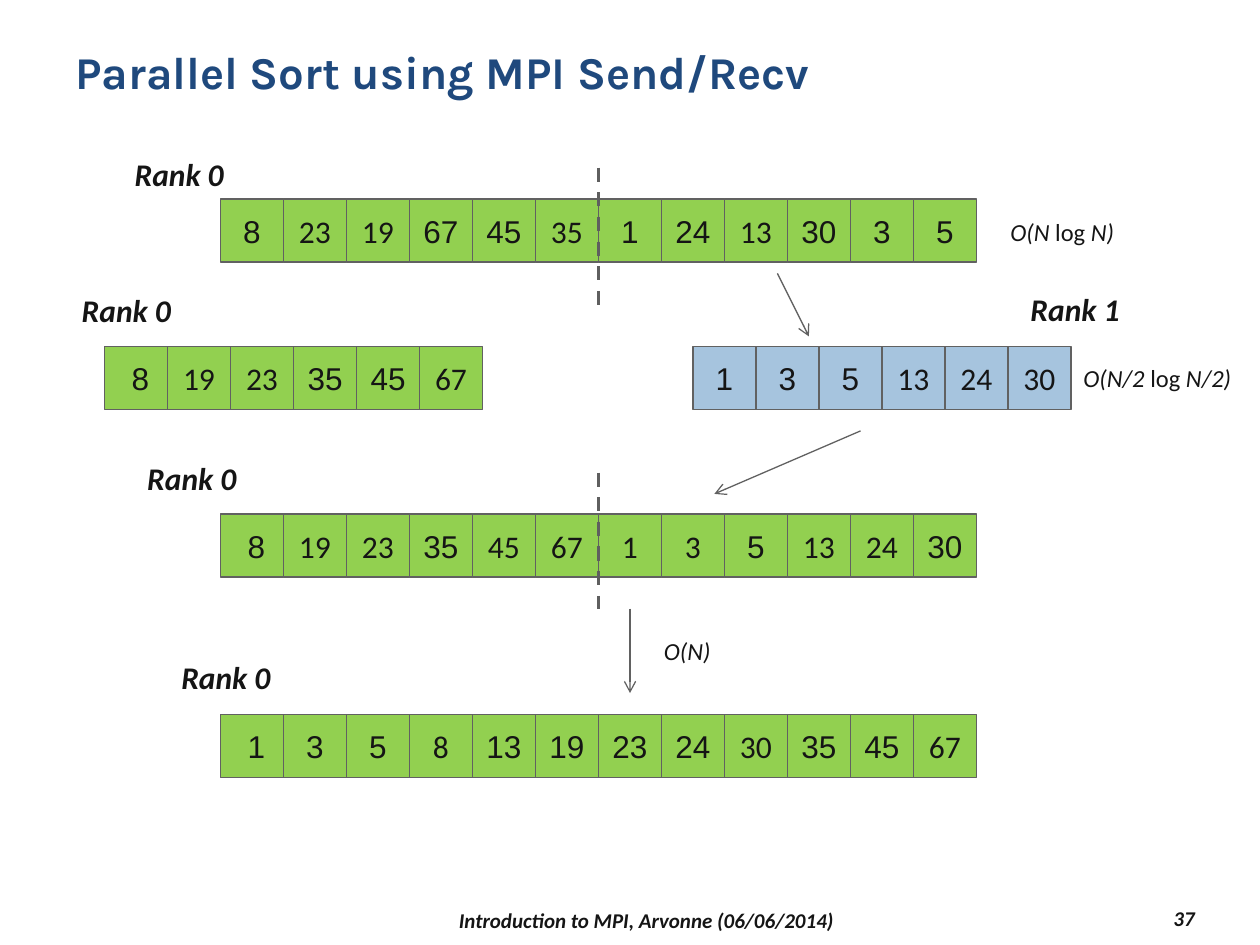
from lxml import etree
from pptx import Presentation
from pptx.dml.color import RGBColor
from pptx.enum import dml, shapes, text
from pptx.oxml import ns
from pptx.util import Inches, Pt

NAVY = RGBColor(0x1F, 0x49, 0x7D)
INK = RGBColor(0x15, 0x15, 0x15)
GREEN = RGBColor(0x92, 0xD0, 0x50)
BLUE = RGBColor(0xA6, 0xC4, 0xDE)
EDGE = RGBColor(0x61, 0x61, 0x61)
DASH = RGBColor(0x5F, 0x5F, 0x5F)

CELL = 0.5
FULL_LEFT = 1.75
MIDDLE = FULL_LEFT + 6 * CELL
LEFT, CENTER, RIGHT = text.PP_ALIGN.LEFT, text.PP_ALIGN.CENTER, text.PP_ALIGN.RIGHT
TOP, CENTRED = text.MSO_ANCHOR.TOP, text.MSO_ANCHOR.MIDDLE

# Array rows: left, top, fill, values, columns set in Calibri
ROWS = [
    (FULL_LEFT, 1.58, GREEN, "8,23,19,67,45,35,1,24,13,30,3,5", {1, 2, 5, 8}),
    (0.83, 2.75, GREEN, " 8,19,23,35,45,67", {1, 2, 5}),
    (5.5, 2.75, BLUE, "1,3,5,13,24,30", {3, 4, 5}),
    (FULL_LEFT, 4.08, GREEN, " 8,19,23,35,45,67,1,3,5,13,24,30",
     {1, 2, 4, 5, 6, 7, 9, 10}),
    (FULL_LEFT, 5.67, GREEN, " 1,3,5,8,13,19,23,24,30,35,45,67", {3, 8, 11}),
]
RANKS = [(0.97, 1.18, "Rank 0"), (0.55, 2.26, "Rank 0"), (8.08, 2.25, "Rank 1"),
         (1.07, 3.59, "Rank 0"), (1.34, 5.17, "Rank 0")]
# Costs: left, top, width, parts (every second part upright)
COSTS = [(7.92, 1.67, 1.03, ["O(N ", "log", " N)"]),
         (8.5, 2.83, 1.43, ["O(N/2 ", "log", " N/2)"]),
         (5.17, 5, 0.62, ["O(N)"])]
ARROWS = [(6.17, 2.17, 6.42, 2.67), (6.83, 3.42, 5.67, 3.92), (5, 4.83, 5, 5.5)]
SPLITS = [(1.33, 2.42), (3.75, 4.83)]


def set_font(font, name, size, color=INK, bold=False, italic=False):
    font.name, font.size, font.bold, font.italic = name, Pt(size), bold, italic
    font.color.rgb = color


def add_text(page, box, parts, size, name="Calibri", color=INK, bold=True,
             italic=True, align=LEFT, anchor=TOP, wrap=False):
    frame = page.shapes.add_textbox(*map(Inches, box)).text_frame
    frame.word_wrap = wrap
    frame.vertical_anchor = anchor
    para = frame.paragraphs[0]
    para.alignment = align
    set_font(para.font, name, size, color, bold, italic)
    for index, part in enumerate(parts):
        span = para.add_run()
        span.text = part
        if index % 2:
            span.font.italic = False


def add_array(page, left, top, fill, values, calibri_columns):
    for column, value in enumerate(values.split(",")):
        box = (left + column * CELL, top, CELL, CELL)
        cell = page.shapes.add_shape(shapes.MSO_SHAPE.RECTANGLE, *map(Inches, box))
        cell.shadow.inherit = False
        cell.fill.solid()
        cell.fill.fore_color.rgb = fill
        cell.line.color.rgb = EDGE
        cell.line.width = Pt(0.75)
        frame = cell.text_frame
        frame.vertical_anchor = CENTRED
        para = frame.paragraphs[0]
        para.text = value
        para.alignment = CENTER
        set_font(para.font, "Calibri" if column in calibri_columns else "Arial", 18)


def add_line(page, ends, color, width):
    line = page.shapes.add_connector(shapes.MSO_CONNECTOR.STRAIGHT, *map(Inches, ends))
    line.line.color.rgb = color
    line.line.width = Pt(width)
    etree.SubElement(line._element.spPr, ns.qn("a:effectLst"))
    return line


def add_arrow(page, ends):
    arrow = add_line(page, ends, EDGE, 0.75)
    etree.SubElement(arrow.line._get_or_add_ln(), ns.qn("a:tailEnd"), type="arrow")


def add_diagram(page):
    for row in ROWS:
        add_array(page, *row)
    # Split marks between the halves
    for top, bottom in SPLITS:
        mark = add_line(page, (MIDDLE, top, MIDDLE, bottom), DASH, 2)
        mark.line.dash_style = dml.MSO_LINE.DASH
    for ends in ARROWS:
        add_arrow(page, ends)
    # Rank and cost labels
    for left, top, rank in RANKS:
        add_text(page, (left, top, 0.92, 0.4), [rank], 18)
    for left, top, width, parts in COSTS:
        add_text(page, (left, top, width, 0.34), parts, 14, bold=False)


def add_footer(page):
    add_text(page, (2.17, 7.17, 5.92, 0.27), ["Introduction to MPI, Arvonne (06/06/2014)"],
             12, align=CENTER, anchor=CENTRED, wrap=True)
    add_text(page, (8.5, 7.15, 1.08, 0.27), ["37"],
             12, align=RIGHT, anchor=CENTRED, wrap=True)


def main():
    deck = Presentation()
    deck.slide_width, deck.slide_height = Inches(10), Inches(7.5)
    page = deck.slides.add_slide(deck.slide_layouts[6])
    add_text(page, (0.5, 0.3, 9, 0.87), ["Parallel Sort using MPI Send/Recv"], 26,
             name="Karla", color=NAVY, italic=False, wrap=True)
    add_diagram(page)
    add_footer(page)
    deck.save("out.pptx")


if __name__ == "__main__":
    main()
